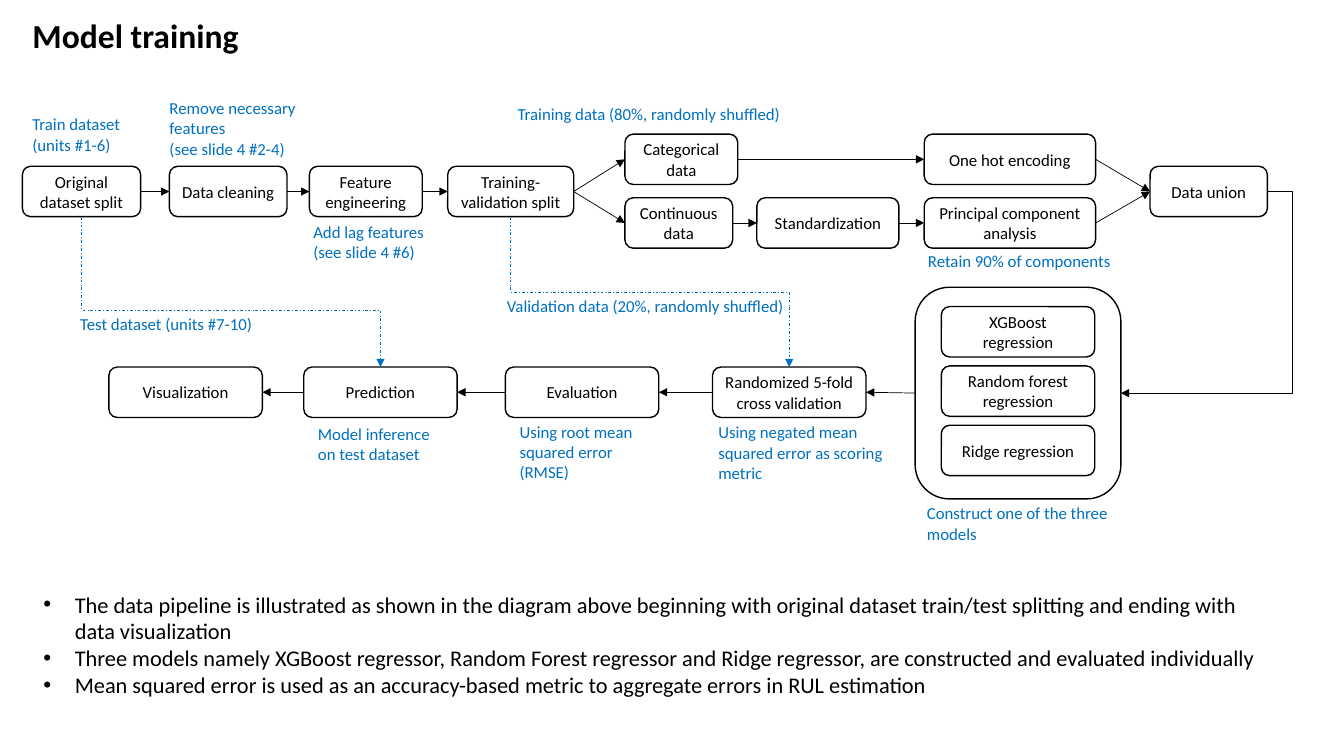
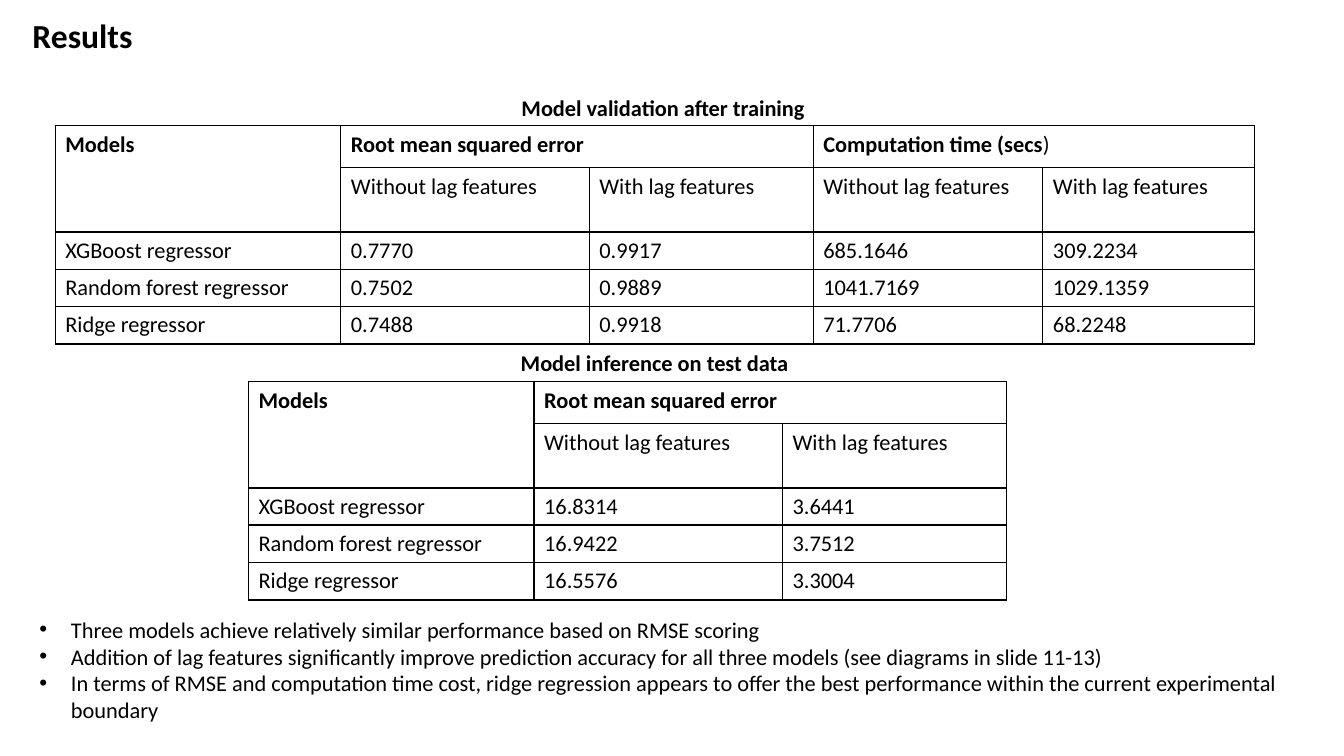
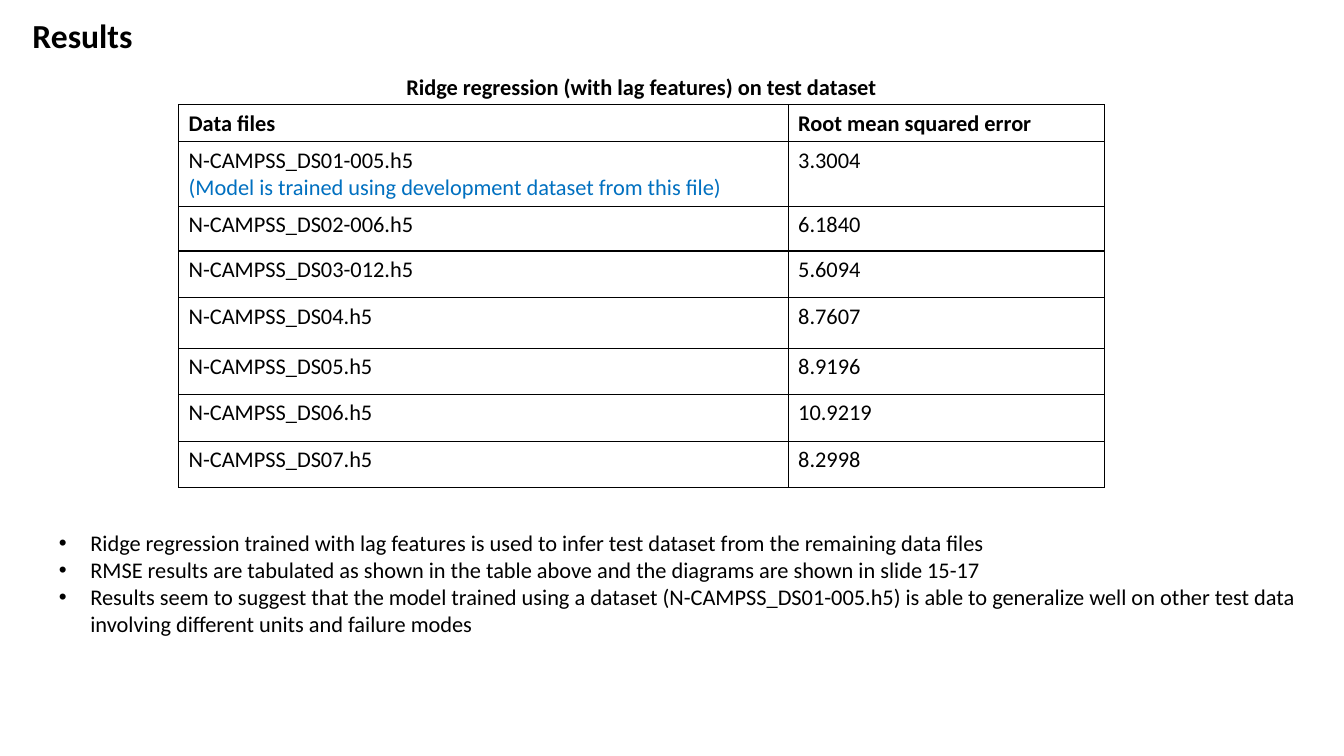
from lxml import etree
from pptx import Presentation
from pptx.dml.color import RGBColor
from pptx.enum.dml import MSO_LINE
from pptx.enum.shapes import MSO_CONNECTOR, MSO_SHAPE
from pptx.enum.text import MSO_ANCHOR, MSO_AUTO_SIZE, PP_ALIGN
from pptx.oxml.ns import qn
from pptx.util import Pt

BLACK = RGBColor(0x00, 0x00, 0x00)
BLUE = RGBColor(0x00, 0x70, 0xC0)
FONT = "Calibri"
LEFT, CENTER = PP_ALIGN.LEFT, PP_ALIGN.CENTER
TOP, MIDDLE = MSO_ANCHOR.TOP, MSO_ANCHOR.MIDDLE
GROW = MSO_AUTO_SIZE.SHAPE_TO_FIT_TEXT
ROUND = MSO_SHAPE.ROUNDED_RECTANGLE
STRAIGHT, ELBOW = MSO_CONNECTOR.STRAIGHT, MSO_CONNECTOR.ELBOW
DASH = MSO_LINE.DASH_DOT
WEST, EAST = 1, 3


class Deck:
    """Holds the shared style and the current slide."""

    def __init__(self):
        self.prs = Presentation()
        self.prs.slide_width, self.prs.slide_height = Pt(960), Pt(540)
        self.slide = None

    def put(self, frame, paras, size, color=BLACK, bold=False, align=LEFT):
        """A paragraph is plain text or a list of runs: text or (text, bold, color)."""
        frame.word_wrap = True
        for i, runs in enumerate(paras):
            para = frame.paragraphs[0] if i == 0 else frame.add_paragraph()
            para.alignment = align
            for part in [runs] if isinstance(runs, str) else runs:
                text, heavy, tint = (part, bold, color) if isinstance(part, str) else part
                run = para.add_run()
                run.text = text
                run.font.name, run.font.size = FONT, Pt(size)
                run.font.bold, run.font.color.rgb = heavy, tint

    def place(self, shape, x, y, w, h):
        shape.left, shape.top, shape.width, shape.height = Pt(x), Pt(y), Pt(w), Pt(h)
        shape.text_frame.auto_size = GROW
        shape.text_frame.vertical_anchor = TOP

    def page(self, title):
        self.slide = self.prs.slides.add_slide(self.prs.slide_layouts[1])
        head = self.slide.shapes.title
        self.place(head, 16, 7, 355, 36.35)
        self.put(head.text_frame, [title], 24, bold=True)

    def points(self, x, y, w, items):
        body = self.slide.placeholders[1]
        self.place(body, x, y, w, 85)
        self.put(body.text_frame, items, 16)
        for para in body.text_frame.paragraphs:
            para.space_before = Pt(0)
            props = para._p.get_or_add_pPr()
            props.set("marL", str(Pt(22.5)))
            props.set("indent", str(-Pt(22.5)))

    def note(self, x, y, w, lines, *paras, size=12, color=BLUE, bold=False, align=LEFT):
        box = self.slide.shapes.add_textbox(0, 0, 0, 0)
        self.place(box, x, y, w, 7.2 + 1.22 * size * lines)
        self.put(box.text_frame, paras, size, color, bold, align)

    def head(self, x, y, w, text):
        self.note(x, y, w, 1, text, size=16, color=BLACK, bold=True, align=CENTER)

    def box(self, x, y, w, h=36, text=None):
        box = self.slide.shapes.add_shape(ROUND, Pt(x), Pt(y), Pt(w), Pt(h))
        box.shadow.inherit = False
        box.fill.background()
        box.line.color.rgb, box.line.width = BLACK, Pt(1)
        if text:
            box.text_frame.vertical_anchor = MIDDLE
            self.put(box.text_frame, [text], 12, align=CENTER)
        return box

    def arrow(self, kind, ends, color=BLACK, dash=None):
        line = self.slide.shapes.add_connector(kind, *[int(v) for v in ends])
        line.line.color.rgb, line.line.width = color, Pt(0.5)
        if dash:
            line.line.dash_style = dash
        props = line.element.spPr
        etree.SubElement(props.find(qn("a:ln")), qn("a:tailEnd"), type="triangle")
        etree.SubElement(props, qn("a:effectLst"))
        return line

    def link(self, start, out, end, into):
        line = self.arrow(STRAIGHT, (0, 0, 0, 0))
        line.begin_connect(start, out)
        line.end_connect(end, into)

    def bend(self, line, ratio):
        geom = line.element.spPr.find(qn("a:prstGeom"))
        guides = geom.find(qn("a:avLst"))
        if guides is None:
            guides = etree.SubElement(geom, qn("a:avLst"))
        etree.SubElement(guides, qn("a:gd"), name="adj1", fmla=f"val {round(ratio * 100000)}")

    def loop(self, start, end, ratio):
        """Elbow from right side to right side."""
        ends = (start.left + start.width, start.top + start.height / 2,
                end.left + end.width, end.top + end.height / 2)
        self.bend(self.arrow(ELBOW, ends), ratio)

    def drop(self, start, end, ratio):
        """Dashed elbow from bottom to top: a level elbow turned by 270 degrees."""
        x1, y1 = start.left + start.width / 2, start.top + start.height
        x2, y2 = end.left + end.width / 2, end.top
        mx, my, dx, dy = (x1 + x2) / 2, (y1 + y2) / 2, (x2 - x1) / 2, (y2 - y1) / 2
        line = self.arrow(ELBOW, (mx + dy, my - dx, mx - dy, my + dx), BLUE, DASH)
        line.element.spPr.find(qn("a:xfrm")).set("rot", str(270 * 60000))
        self.bend(line, ratio)

    def edge(self, cell):
        props = cell._tc.get_or_add_tcPr()
        for side in ("a:lnL", "a:lnR", "a:lnT", "a:lnB"):
            line = etree.SubElement(props, qn(side), w=str(Pt(1)))
            fill = etree.SubElement(line, qn("a:solidFill"))
            etree.SubElement(fill, qn("a:srgbClr"), val=str(BLACK))
        cell.fill.background()

    def table(self, x, y, cols, rows, cells, spans=()):
        """A cell is None (covered by a span), text, or a list of paragraphs."""
        grid = self.slide.shapes.add_table(
            len(rows), len(cols), Pt(x), Pt(y), Pt(sum(cols)), Pt(sum(rows))).table
        grid.first_row = grid.horz_banding = False
        for col, width in zip(grid.columns, cols):
            col.width = Pt(width)
        for row, height in zip(grid.rows, rows):
            row.height = Pt(height)
        for r, row in enumerate(cells):
            for c, item in enumerate(row):
                cell = grid.cell(r, c)
                self.edge(cell)
                if item is not None:
                    paras = [item] if isinstance(item, str) else item
                    self.put(cell.text_frame, paras, 16, bold=r == 0)
        for top, left, bottom, right in spans:
            grid.cell(top, left).merge(grid.cell(bottom, right))


def training(deck):
    deck.page("Model training")
    deck.points(23.75, 418.3, 894.25, [
        "The data pipeline is illustrated as shown in the diagram above beginning with original "
        "dataset train/test splitting and ending with data visualization",
        "Three models namely XGBoost regressor, Random Forest regressor and Ridge regressor, "
        "are constructed and evaluated individually",
        "Mean squared error is used as an accuracy-based metric to aggregate errors in RUL estimation",
    ])

    # Upper row: data preparation
    main, high, low = 118.8, 95.8, 141.3
    split = deck.box(16, main, 84.5, text="Original dataset split")
    clean = deck.box(121, main, 84, text="Data cleaning")
    lag = deck.box(221, main, 80.6, text="Feature engineering")
    part = deck.box(319.8, main, 90, text="Training-validation split")
    group = deck.box(446.4, high, 80.6, text="Categorical data")
    range_ = deck.box(446.4, low, 77, text="Continuous data")
    code = deck.box(660.2, high, 122.4, text="One hot encoding")
    scale = deck.box(540.6, low, 101.5, text="Standardization")
    pca = deck.box(660.2, low, 122.4, text="Principal component analysis")
    union = deck.box(821.5, main, 83.8, text="Data union")

    # Model group
    names = ("XGBoost regression", "Random forest regression", "Ridge regression")
    for i, name in enumerate(names):
        deck.box(672.4, 219 + 42.4 * i, 109.6, text=name)
    models = deck.box(653.7, 205.2, 147, 151.2)

    # Lower row: evaluation, right to left
    steps = [deck.box(x, 262.2, 109.6, text=name) for x, name in (
        (509, "Randomized 5-fold cross validation"), (361, "Evaluation"),
        (217, "Prediction"), (77.8, "Visualization"))]

    # Arrows
    for start, end in ((split, clean), (clean, lag), (lag, part), (part, group),
                       (part, range_), (group, code), (range_, scale), (scale, pca),
                       (code, union), (pca, union)):
        deck.link(start, EAST, end, WEST)
    for start, end in zip([models] + steps, steps):
        deck.link(start, WEST, end, EAST)
    deck.loop(union, models, -0.17)
    deck.drop(part, steps[0], 0.5)
    deck.drop(split, steps[2], 0.62)

    # Blue notes
    for note in (
        (355, 207.4, 214.6, 1, "Validation data (20%, randomly shuffled)"),
        (362.6, 70.9, 204, 1, "Training data (80%, randomly shuffled)"),
        (216.7, 155, 108, 2, "Add lag features (see slide 4 #6)"),
        (114, 66.4, 111, 3, "Remove necessary features", "(see slide 4 #2-4)"),
        (655.8, 175.2, 147, 1, "Retain 90% of components"),
        (655, 355.8, 147, 2, "Construct one of the three models"),
        (506, 298, 131.8, 3, "Using negated mean squared error as scoring metric"),
        (364, 297.7, 106, 3, "Using root mean squared error (RMSE)"),
        (50.2, 220.3, 140.4, 1, "Test dataset (units #7-10)"),
        (16, 78, 81.5, 2, "Train dataset", "(units #1-6)"),
        (220, 298.8, 106, 2, "Model inference on test dataset"),
    ):
        deck.note(*note)


def scores(deck):
    deck.page("Results")
    deck.points(21, 436.3, 918.7, [
        "Three models achieve relatively similar performance based on RMSE scoring",
        "Addition of lag features significantly improve prediction accuracy for all three models "
        "(see diagrams in slide 11-13)",
        "In terms of RMSE and computation time cost, ridge regression appears to offer the best "
        "performance within the current experimental boundary",
    ])
    cols, rows = [204, 177.5, 160, 164, 151], [30, 46, 26.5, 26.5, 27]
    names = ("XGBoost regressor", "Random forest regressor", "Ridge regressor")
    pair = ["Without lag features", "With lag features"]
    first = ["Models", "Root mean squared error", None]
    spans = [(0, 0, 1, 0), (0, 1, 0, 2)]

    # Validation
    deck.head(316, 63.4, 315.4, "Model validation after training")
    time = [["Computation time (secs", (")", False, BLACK)]]
    values = (["0.7770", "0.9917", "685.1646", "309.2234"],
              ["0.7502", "0.9889", "1041.7169", "1029.1359"],
              ["0.7488", "0.9918", "71.7706", "68.2248"])
    deck.table(39.5, 89.8, cols, rows,
               [first + [time, None], [None] + pair * 2]
               + [[name] + line for name, line in zip(names, values)],
               spans + [(0, 3, 0, 4)])

    # Inference
    deck.head(357.8, 245.8, 219.6, "Model inference on test data")
    values = (["16.8314", "3.6441"], ["16.9422", "3.7512"], ["16.5576", "3.3004"])
    deck.table(177.5, 272.6, cols[:3], rows,
               [first, [None] + pair] + [[name] + line for name, line in zip(names, values)],
               spans)


def files(deck):
    deck.page("Results")
    deck.head(218.2, 48.4, 480, "Ridge regression (with lag features) on test dataset")
    remark = ("(Model is trained using development dataset from this file)", False, BLUE)
    deck.table(127.6, 74.8, [435.4, 226], [26.5, 46, 32, 33.5, 36, 33, 33.5, 33], [
        ["Data files", "Root mean squared error"],
        [["N-CAMPSS_DS01-005.h5", [remark]], "3.3004"],
        ["N-CAMPSS_DS02-006.h5", "6.1840"],
        ["N-CAMPSS_DS03-012.h5", "5.6094"],
        ["N-CAMPSS_DS04.h5", "8.7607"],
        ["N-CAMPSS_DS05.h5", "8.9196"],
        ["N-CAMPSS_DS06.h5", "10.9219"],
        ["N-CAMPSS_DS07.h5", "8.2998"],
    ])
    deck.points(34.8, 374.6, 918.7, [
        "Ridge regression trained with lag features is used to infer test dataset from the "
        "remaining data files",
        "RMSE results are tabulated as shown in the table above and the diagrams are shown in "
        "slide 15-17",
        "Results seem to suggest that the model trained using a dataset (N-CAMPSS_DS01-005.h5) "
        "is able to generalize well on other test data involving different units and failure modes",
    ])


def main():
    deck = Deck()
    for build in (training, scores, files):
        build(deck)
    deck.prs.save("out.pptx")


if __name__ == "__main__":
    main()
